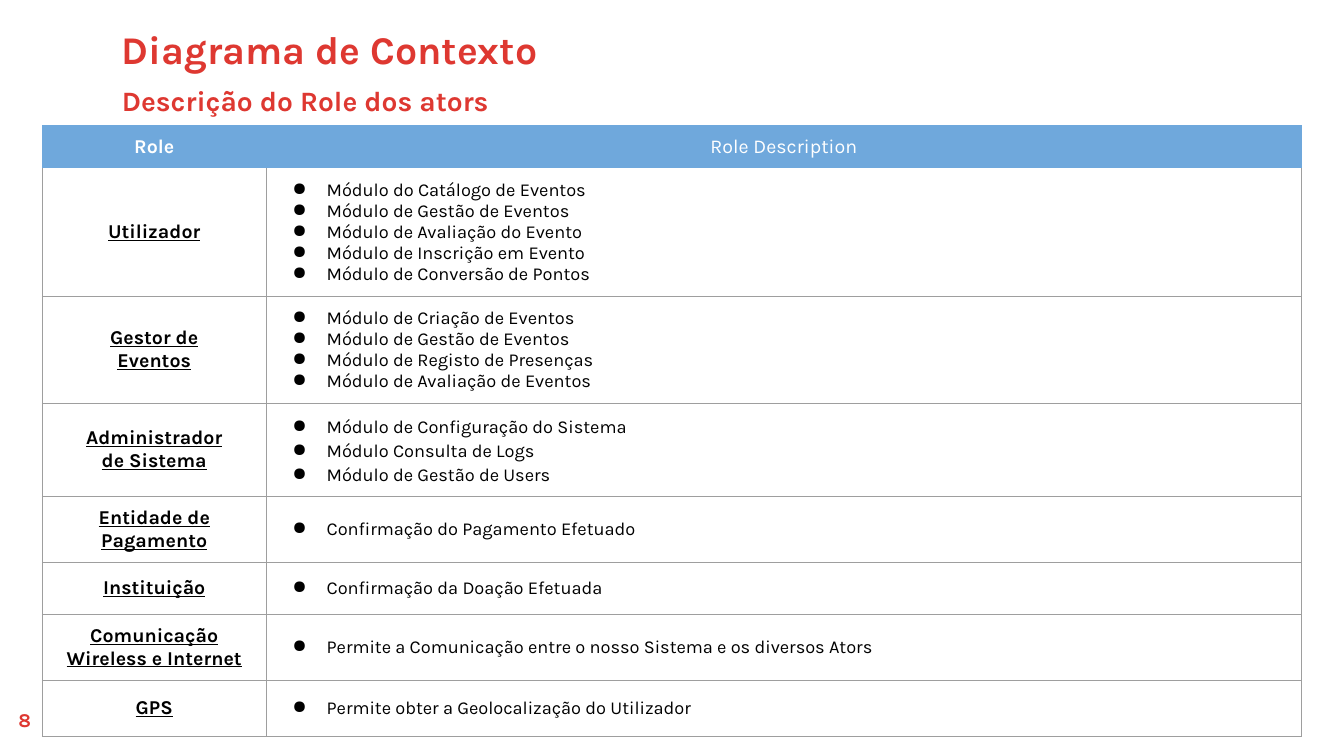
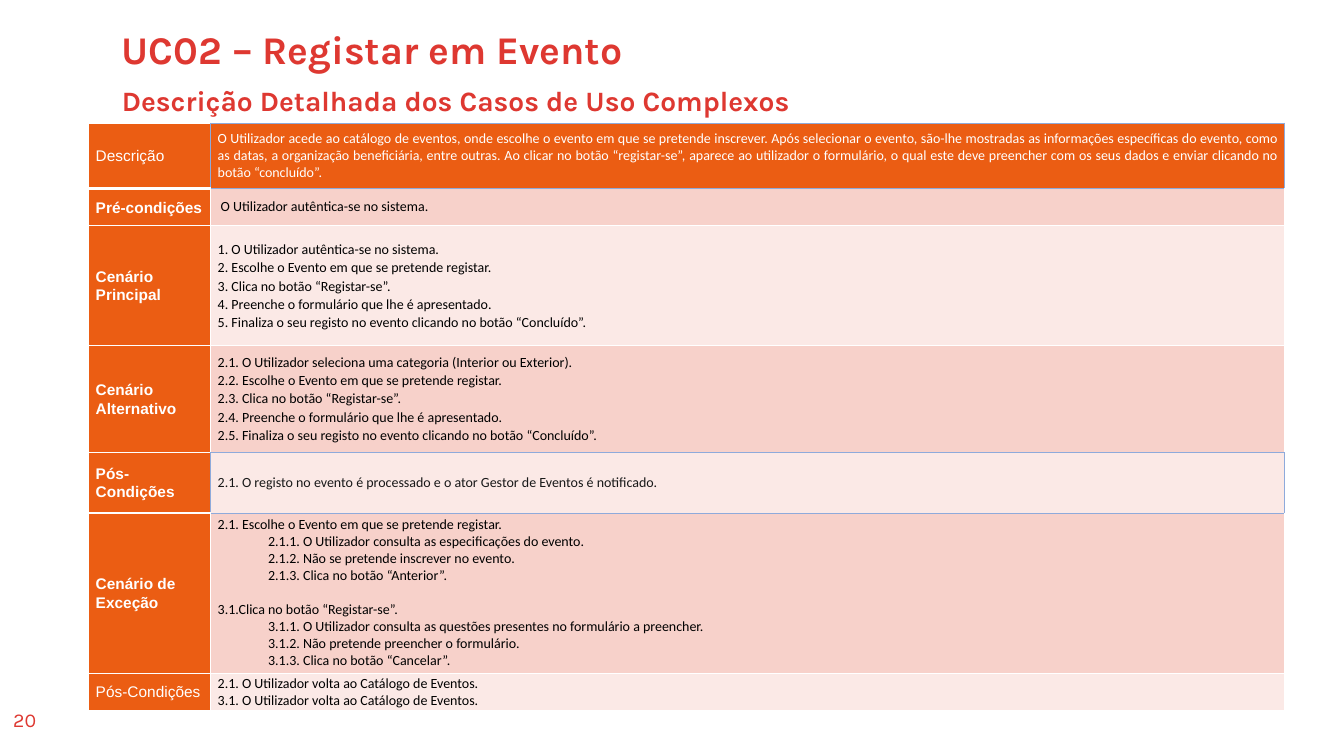
from lxml import etree
from pptx import Presentation
from pptx.dml.color import RGBColor
from pptx.enum.text import MSO_ANCHOR, MSO_AUTO_SIZE, PP_ALIGN
from pptx.oxml.ns import qn
from pptx.util import Inches, Pt

LEFT, CENTER, JUSTIFY = PP_ALIGN.LEFT, PP_ALIGN.CENTER, PP_ALIGN.JUSTIFY
TOP, MIDDLE = MSO_ANCHOR.TOP, MSO_ANCHOR.MIDDLE
NO_AUTOFIT = MSO_AUTO_SIZE.NONE

COLORS = {
    "red": "DE3831",
    "white": "FFFFFF",
    "black": "000000",
    "ink": "181818",
    "header_blue": "6FA8DC",
    "grid_gray": "9E9E9E",
    "orange": "EB5D13",
    "pink": "F7D1CA",
    "pale_pink": "FBE9E6",
    "frame_blue": "8EAADB",
}
NO_GRID_STYLE = "{2D5ABB26-0587-4C30-8999-92F81FD0307C}"
SIDES = {"lnL": (0, -1), "lnR": (0, 1), "lnT": (-1, 0), "lnB": (1, 0)}

ROLE_HEADER = ("Role", "Role Description")
ROLE_COLUMNS = (2.22, 10.27)
ROLE_HEADER_HEIGHT = 0.43
ROLES = [
    (1.27, ["Utilizador"], [
        "Módulo do Catálogo de Eventos",
        "Módulo de Gestão de Eventos",
        "Módulo de Avaliação do Evento",
        "Módulo de Inscrição em Evento",
        "Módulo de Conversão de Pontos",
    ], 1),
    (1.06, ["Gestor de", "Eventos"], [
        "Módulo de Criação de Eventos",
        "Módulo de Gestão de Eventos",
        "Módulo de Registo de Presenças",
        "Módulo de Avaliação de Eventos",
    ], 1),
    (0.92, ["Administrador", "de Sistema"], [
        "Módulo de Configuração do Sistema",
        "Módulo Consulta de Logs",
        "Módulo de Gestão de Users",
    ], 1.15),
    (0.66, ["Entidade de", "Pagamento"], ["Confirmação do Pagamento Efetuado"], 1),
    (0.51, ["Instituição"], ["Confirmação da Doação Efetuada"], 1),
    (0.66, ["Comunicação Wireless e Internet"],
     ["Permite a Comunicação entre o nosso Sistema e os diversos Ators"], 1),
    (0.55, ["GPS"], ["Permite obter a Geolocalização do Utilizador"], 1),
]

NESTED = {"indent": 0.5}
USE_CASE_COLUMNS = (1.21, 10.65)
FRAMED_ROWS = (0, 4)
PLAIN_LABEL_ROWS = (0, 6)
USE_CASE = [
    (0.65, "Descrição", [
        "O Utilizador acede ao catálogo de eventos, onde escolhe o evento em que se pretende "
        "inscrever. Após selecionar o evento, são-lhe mostradas as informações específicas do "
        "evento, como as datas, a organização beneficiária, entre outras. Ao clicar no botão "
        "“registar-se”, aparece ao utilizador o formulário, o qual este deve preencher com os "
        "seus dados e enviar clicando no botão “concluído”.",
    ], {"color": "white"}),
    (0.37, "Pré-condições", [
        ("O Utilizador autêntica-se no sistema.", {"indent": 0.03}),
    ], {}),
    (1.19, "Cenário Principal", [
        "1. O Utilizador autêntica-se no sistema.",
        "2. Escolhe o Evento em que se pretende registar.",
        "3. Clica no botão “Registar-se”.",
        "4. Preenche o formulário que lhe é apresentado.",
        "5. Finaliza o seu registo no evento clicando no botão “Concluído”.",
    ], {"spacing": 1.08}),
    (1.06, "Cenário Alternativo", [
        ("2.1. O Utilizador seleciona uma categoria (Interior ou Exterior).", {"spacing": 1}),
        "2.2. Escolhe o Evento em que se pretende registar.",
        "2.3. Clica no botão “Registar-se”.",
        "2.4. Preenche o formulário que lhe é apresentado.",
        "2.5. Finaliza o seu registo no evento clicando no botão “Concluído”.",
    ], {"spacing": 1.08}),
    (0.6, "Pós-Condições", [
        "2.1. O registo no evento é processado e o ator Gestor de Eventos é notificado.",
    ], {"color": "ink"}),
    (1.59, "Cenário de Exceção", [
        "2.1. Escolhe o Evento em que se pretende registar.",
        ("2.1.1. O Utilizador consulta as especificações do evento.", NESTED),
        ("2.1.2. Não se pretende inscrever no evento.", NESTED),
        ("2.1.3. Clica no botão “Anterior”.", NESTED),
        ("3.1.Clica no botão “Registar-se”.", {"before": 12.2}),
        ("3.1.1. O Utilizador consulta as questões presentes no formulário a preencher.", NESTED),
        ("3.1.2. Não pretende preencher o formulário.", NESTED),
        ("3.1.3. Clica no botão “Cancelar”.", NESTED),
    ], {}),
    (0.37, "Pós-Condições", [
        "2.1. O Utilizador volta ao Catálogo de Eventos.",
        "3.1. O Utilizador volta ao Catálogo de Eventos.",
    ], {}),
]


def rgb(name):
    return RGBColor.from_string(COLORS[name])


def add_color(parent, tag, name):
    holder = etree.SubElement(parent, qn(tag))
    etree.SubElement(holder, qn("a:srgbClr"), val=COLORS[name])


def write_paragraph(paragraph, text, size=14, font="Karla", color="black", bold=False,
                    underline=False, align=LEFT, spacing=1, indent=0, hanging=0,
                    bullet=None, before=0):
    properties = paragraph._p.get_or_add_pPr()
    if indent:
        properties.set("marL", str(Inches(indent)))
        properties.set("indent", str(Inches(-hanging)))
    if bullet:
        add_color(properties, "a:buClr", color)
        etree.SubElement(properties, qn("a:buChar"), char=bullet)
    paragraph.alignment = align
    paragraph.line_spacing = spacing
    if before:
        paragraph.space_before = Pt(before)
    run = paragraph.add_run()
    run.text = text
    run.font.size = Pt(size)
    run.font.name = font
    run.font.bold = bold
    run.font.underline = underline
    run.font.color.rgb = rgb(color)


def write(frame, lines, **style):
    for index, line in enumerate(lines):
        text, changes = (line, {}) if isinstance(line, str) else line
        paragraph = frame.add_paragraph() if index else frame.paragraphs[0]
        write_paragraph(paragraph, text, **{**style, **changes})


def fit_frame(shape, left, top, width, height):
    shape.left, shape.top = Inches(left), Inches(top)
    shape.width, shape.height = Inches(width), Inches(height)
    frame = shape.text_frame
    frame.word_wrap = True
    frame.auto_size = NO_AUTOFIT
    frame.vertical_anchor = TOP
    return frame


def add_page(deck, title, subtitle, number, number_bold):
    slide = deck.slides.add_slide(deck.slide_layouts[5])
    heading = {"color": "red", "bold": True, "spacing": 0.9}
    write(fit_frame(slide.shapes.title, 1.11, 0.25, 10.41, 0.45), [title], size=28, **heading)
    for text, place, style in (
        (subtitle, (1.11, 0.82, 10.41, 0.42), {"size": 20, **heading}),
        (number, (0.01, 6.97, 0.47, 0.4),
         {"color": "red", "bold": number_bold, "align": CENTER}),
    ):
        box = slide.shapes.add_textbox(0, 0, 0, 0)
        write(fit_frame(box, *place), [text], **style)
    return slide


def add_grid(slide, left, top, widths, heights):
    table = slide.shapes.add_table(
        len(heights), len(widths), Inches(left), Inches(top),
        Inches(sum(widths)), Inches(sum(heights))).table
    table.first_row = table.horz_banding = False
    table._tbl.tblPr.find(qn("a:tableStyleId")).text = NO_GRID_STYLE
    for column, width in zip(table.columns, widths):
        column.width = Inches(width)
    for row, height in zip(table.rows, heights):
        row.height = Inches(height)
    return table


def style_cell(cell, margin_x, margin_y, borders, fill=None):
    cell.margin_left = cell.margin_right = Inches(margin_x)
    cell.margin_top = cell.margin_bottom = Inches(margin_y)
    cell.vertical_anchor = MIDDLE
    properties = cell._tc.get_or_add_tcPr()
    for side in SIDES:
        if side in borders:
            color, width = borders[side]
            line = etree.SubElement(properties, qn("a:" + side), w=str(Pt(width)))
            add_color(line, "a:solidFill", color)
    if fill:
        cell.fill.solid()
        cell.fill.fore_color.rgb = rgb(fill)
    else:
        cell.fill.background()


def build_roles(deck):
    slide = add_page(deck, "Diagrama de Contexto", "Descrição do Role dos ators", "8", True)
    heights = [ROLE_HEADER_HEIGHT] + [role[0] for role in ROLES]
    table = add_grid(slide, 0.42, 1.24, ROLE_COLUMNS, heights)
    for column, text in enumerate(ROLE_HEADER):
        cell = table.cell(0, column)
        style_cell(cell, 0.1, 0.1, {}, "header_blue")
        write(cell.text_frame, [text], color="white", bold=column == 0, align=CENTER)
    borders = {side: ("grid_gray", 0.75) for side in ("lnL", "lnR", "lnB")}
    for row, (_, name, modules, spacing) in enumerate(ROLES, 1):
        name_cell, module_cell = table.cell(row, 0), table.cell(row, 1)
        for cell in (name_cell, module_cell):
            style_cell(cell, 0.1, 0.1, borders)
        write(name_cell.text_frame, name, bold=True, underline=True, align=CENTER)
        write(module_cell.text_frame, modules, size=13, spacing=spacing,
              indent=0.5, hanging=0.34, bullet="●")


def use_case_borders(row, column):
    framed = {(framed_row, 1) for framed_row in FRAMED_ROWS}
    borders = {}
    for side, (down, across) in SIDES.items():
        is_framed = framed & {(row, column), (row + down, column + across)}
        borders[side] = ("frame_blue", 0.75) if is_framed else ("white", 1)
    if (row, column) == (0, 0):
        borders["lnB"] = ("white", 3)
    if (row, column) == (1, 0):
        borders["lnT"] = ("white", 3)
    return borders


def build_use_case(deck):
    slide = add_page(deck, "UC02 – Registar em Evento",
                     "Descrição Detalhada dos Casos de Uso Complexos", "20", False)
    table = add_grid(slide, 0.88, 1.22, USE_CASE_COLUMNS, [entry[0] for entry in USE_CASE])
    for row, (_, label, steps, style) in enumerate(USE_CASE):
        step_fill = "orange" if row == 0 else ("pale_pink", "pink")[row % 2]
        for column, fill in enumerate(("orange", step_fill)):
            style_cell(table.cell(row, column), 0.07, 0, use_case_borders(row, column), fill)
        write(table.cell(row, 0).text_frame, [label], size=11, font="Arial", color="white",
              bold=row not in PLAIN_LABEL_ROWS, spacing=1.07)
        write(table.cell(row, 1).text_frame, steps, size=10, font="Calibri",
              align=JUSTIFY, **style)


def main():
    deck = Presentation()
    deck.slide_width, deck.slide_height = Inches(13.33), Inches(7.5)
    build_roles(deck)
    build_use_case(deck)
    deck.save("out.pptx")


if __name__ == "__main__":
    main()
